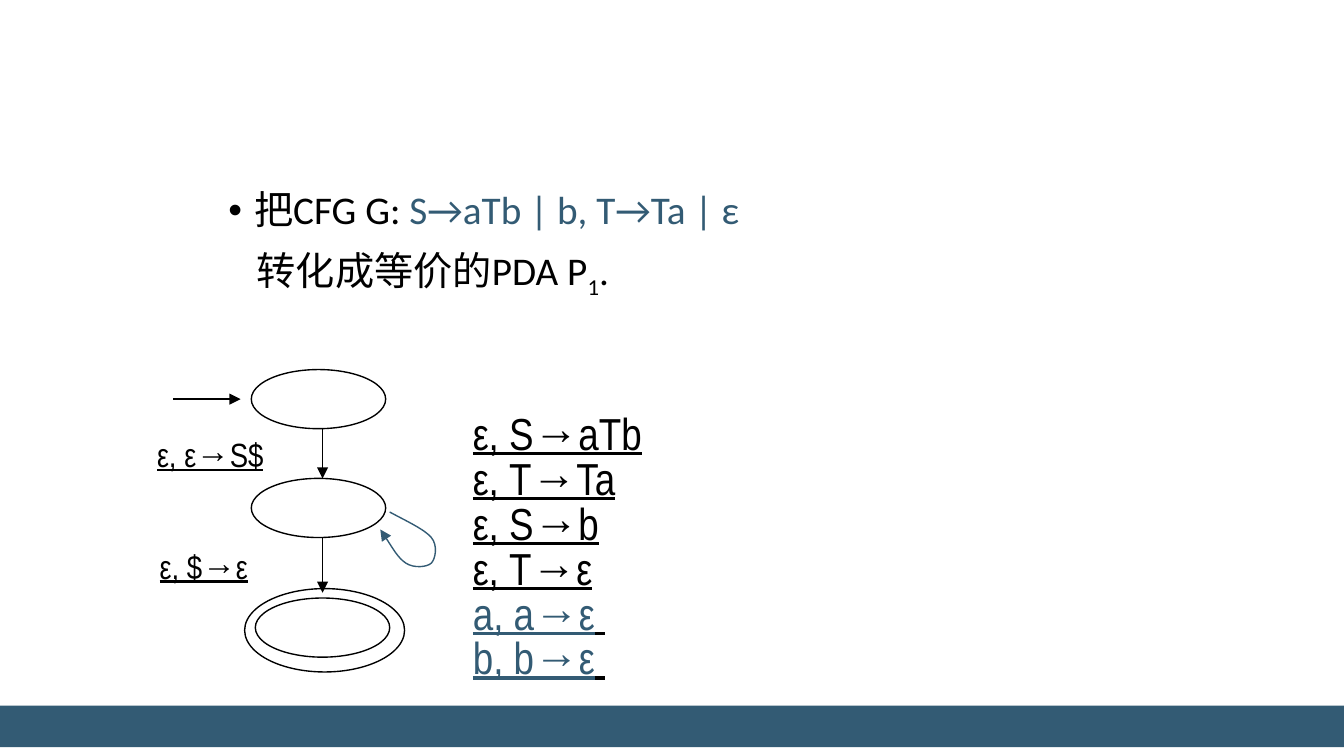
"""Build a slide that turns a context-free grammar into a pushdown automaton."""
from lxml.etree import SubElement
from pptx import Presentation
from pptx.dml.color import RGBColor
from pptx.enum.shapes import MSO_CONNECTOR, MSO_SHAPE
from pptx.enum.text import MSO_AUTO_SIZE
from pptx.oxml.ns import qn
from pptx.util import Inches, Pt

THEME = {
    "ink": RGBColor(0x00, 0x00, 0x00),
    "accent": RGBColor(0x33, 0x5B, 0x74),
    "body_font": "Calibri",
    "label_font": "Arial Narrow",
    "body_size": Pt(21),
    "label_size": Pt(18),
    "rule_size": Pt(24),
    "line_width": Pt(0.75),
}

SLIDE_WIDTH = 10
SLIDE_HEIGHT = SLIDE_WIDTH * 9 / 16

TASK = [
    [("把CFG G: ", "ink", 0), ("S→aTb | b, T→Ta | ε", "accent", 0)],
    [("转化成等价的PDA P", "ink", 0), ("1", "ink", -25000), (".", "ink", 0)],
]
TASK_BOX = (1.63, 1.38, 6.38, 1.06)
TASK_INDENTS = (-0.19, 0.02)

STATES = [
    (1.87, 2.75, 1, 0.44),
    (1.87, 3.56, 1, 0.44),
    (1.9, 4.45, 1, 0.44),
    (1.82, 4.38, 1.19, 0.62),
]
ARROWS = [
    (1.29, 2.97, 1.79, 2.97),
    (2.4, 3.19, 2.4, 3.56),
    (2.4, 4, 2.4, 4.41),
]
LOOP_START = (2.9, 3.81)
LOOP_CURVES = [
    [(3.03, 3.88), (3.16, 3.94), (3.21, 4)],
    [(3.26, 4.06), (3.24, 4.16), (3.21, 4.19)],
    [(3.18, 4.22), (3.08, 4.23), (3.02, 4.19)],
    [(2.96, 4.15), (2.9, 4.04), (2.83, 3.94)],
]
STEP_LABELS = [("ε, ε→S$", 1.07, 3.18), ("ε, $→ε", 1.09, 4.01)]
EXPANSIONS = [("ε, S→aTb", 1.67), ("ε, T→Ta", 1.33), ("ε, S→b", 1.33), ("ε, T→ε", 1.33)]
MATCHES = [("a, a→ε", 1.5), ("b, b→ε", 1.5)]
RULES = [([(rule, "ink")], width) for rule, width in EXPANSIONS] + [
    ([(rule, "accent"), (" ", "ink")], width) for rule, width in MATCHES
]
RULE_LEFT, RULE_TOP, RULE_STEP = 3.42, 2.97, 1.67 / 5
FOOTER = (0, 5.25, SLIDE_WIDTH, 0.31)


def inches(values):
    return [Inches(value) for value in values]


def style_line(shape, color, arrow=False):
    shape.line.color.rgb = THEME[color]
    shape.line.width = THEME["line_width"]
    if arrow:
        outline = shape.element.spPr.find(qn("a:ln"))
        SubElement(outline, qn("a:tailEnd"), type="triangle")


def add_runs(paragraph, parts):
    for text, color, baseline in parts:
        run = paragraph.add_run()
        run.text = text
        run.font.color.rgb = THEME[color]
        if baseline:
            run.font._element.set("baseline", str(baseline))


def add_task(slide):
    frame = slide.shapes.add_textbox(*inches(TASK_BOX)).text_frame
    frame.word_wrap = True
    frame.margin_left = frame.margin_right = Inches(0.07)
    frame.margin_top = frame.margin_bottom = Inches(0.04)
    for index, (parts, indent) in enumerate(zip(TASK, TASK_INDENTS)):
        paragraph = frame.add_paragraph() if index else frame.paragraphs[0]
        paragraph.line_spacing = 0.9
        paragraph.space_before = Pt(7.5 if index else 0)
        properties = paragraph._p.get_or_add_pPr()
        properties.set("marL", str(Inches(0.19)))
        properties.set("indent", str(Inches(indent)))
        if index == 0:
            SubElement(properties, qn("a:buFont"), typeface="Arial")
            SubElement(properties, qn("a:buChar"), char="•")
        paragraph.font.name = THEME["body_font"]
        paragraph.font.size = THEME["body_size"]
        add_runs(paragraph, parts)


def add_label(slide, parts, box, size):
    frame = slide.shapes.add_textbox(*inches(box)).text_frame
    frame.word_wrap = True
    frame.auto_size = MSO_AUTO_SIZE.SHAPE_TO_FIT_TEXT
    paragraph = frame.paragraphs[0]
    paragraph.font.name = THEME["label_font"]
    paragraph.font.size = THEME[size]
    paragraph.font.underline = True
    add_runs(paragraph, [(text, color, 0) for text, color in parts])


def add_state(slide, box):
    state = slide.shapes.add_shape(MSO_SHAPE.OVAL, *inches(box))
    state.shadow.inherit = False
    state.fill.background()
    style_line(state, "ink")


def add_arrow(slide, ends):
    arrow = slide.shapes.add_connector(MSO_CONNECTOR.STRAIGHT, *inches(ends))
    style_line(arrow, "ink", arrow=True)
    SubElement(arrow.element.spPr, qn("a:effectLst"))


def add_loop(slide):
    builder = slide.shapes.build_freeform(*inches(LOOP_START))
    points = [inches(point) for curve in LOOP_CURVES for point in curve]
    builder.add_line_segments(points, close=False)
    loop = builder.convert_to_shape()
    outline = loop.element.spPr.find(".//" + qn("a:path"))
    segments = outline.findall(qn("a:lnTo"))
    for start in range(0, len(segments), 3):
        curve = SubElement(outline, qn("a:cubicBezTo"))
        for segment in segments[start:start + 3]:
            curve.append(segment[0])
            outline.remove(segment)
    loop.shadow.inherit = False
    loop.fill.background()
    style_line(loop, "accent", arrow=True)


def add_footer(slide):
    footer = slide.shapes.add_shape(MSO_SHAPE.RECTANGLE, *inches(FOOTER))
    footer.shadow.inherit = False
    footer.fill.solid()
    footer.fill.fore_color.rgb = THEME["accent"]
    footer.line.fill.background()


def main():
    deck = Presentation()
    deck.slide_width, deck.slide_height = inches((SLIDE_WIDTH, SLIDE_HEIGHT))
    slide = deck.slides.add_slide(deck.slide_layouts[6])
    add_task(slide)
    add_footer(slide)
    for box in STATES:
        add_state(slide, box)
    for ends in ARROWS:
        add_arrow(slide, ends)
    add_loop(slide)
    for text, left, top in STEP_LABELS:
        add_label(slide, [(text, "ink")], (left, top, 1.12, 0.4), "label_size")
    for row, (parts, width) in enumerate(RULES):
        box = (RULE_LEFT, RULE_TOP + row * RULE_STEP, width, 0.5)
        add_label(slide, parts, box, "rule_size")
    deck.save("out.pptx")


if __name__ == "__main__":
    main()
